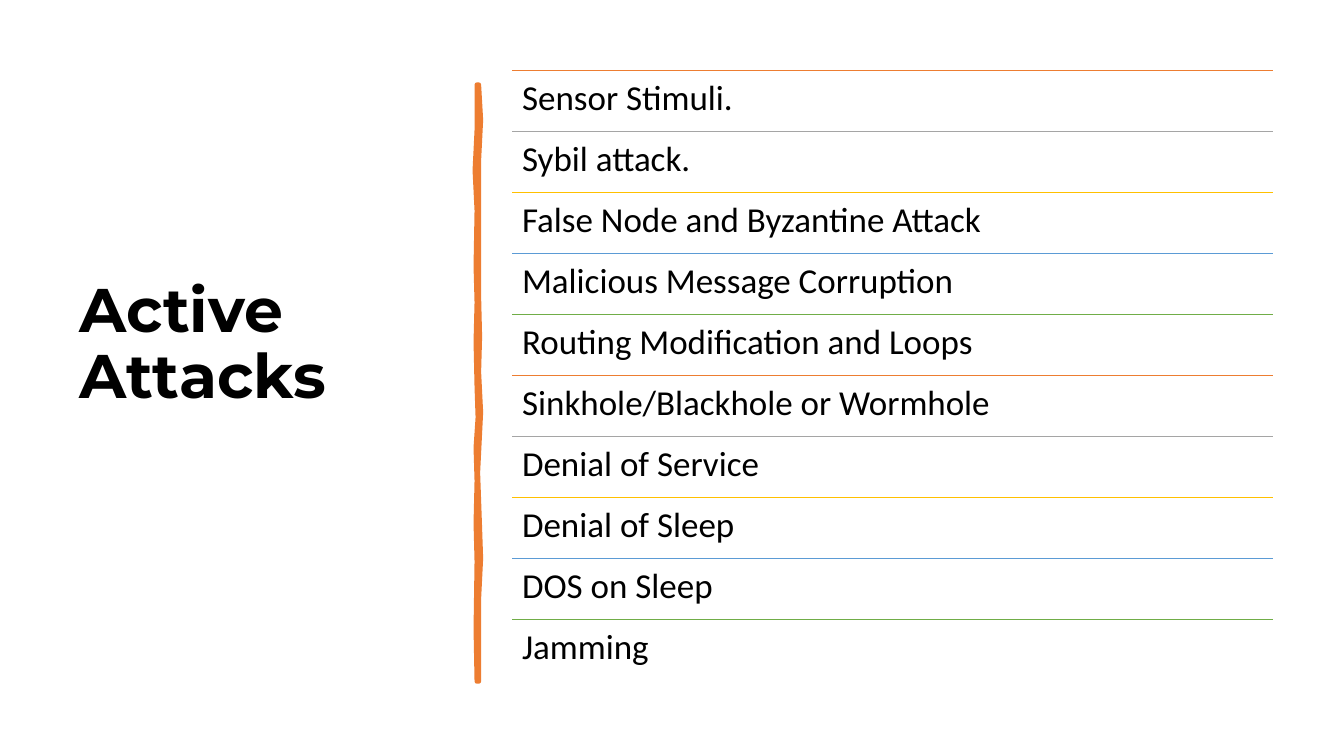
from pptx import Presentation
from pptx.dml.color import RGBColor
from pptx.enum.shapes import MSO_CONNECTOR
from pptx.enum.text import MSO_ANCHOR
from pptx.oxml.ns import qn
from pptx.util import Inches, Pt
from lxml.etree import SubElement

BLACK = RGBColor(0x00, 0x00, 0x00)
ORANGE = RGBColor(0xED, 0x7D, 0x31)
GRAY = RGBColor(0xA5, 0xA5, 0xA5)
GOLD = RGBColor(0xFF, 0xC0, 0x00)
BLUE = RGBColor(0x5B, 0x9B, 0xD5)
GREEN = RGBColor(0x70, 0xAD, 0x47)
RULE_COLORS = [ORANGE, GRAY, GOLD, BLUE, GREEN]

ATTACKS = [
    "Sensor Stimuli.",
    "Sybil attack.",
    "False Node and Byzantine Attack",
    "Malicious Message Corruption",
    "Routing Modification and Loops",
    "Sinkhole/Blackhole or Wormhole",
    "Denial of Service",
    "Denial of Sleep",
    "DOS on Sleep",
    "Jamming",
]

# Edges of the hand-drawn divider, in hundredths of an inch from its corner.
RIGHT_EDGE = [(5, 0), (7, 35), (5, 75), (5, 142), (5, 210), (6, 250), (5, 285),
              (7, 325), (4, 385), (6, 440), (7, 470), (5, 510), (5, 592)]
LEFT_EDGE = [(3, 592), (2, 540), (3, 473), (2, 435), (3, 393), (2, 360), (4, 330),
             (3, 300), (2, 255), (3, 216), (2, 180), (3, 125), (1, 85), (3, 45), (3, 0)]

TITLE_FORMAT = {"name": "Montserrat", "size": Pt(44), "bold": True}
ITEM_FORMAT = {"name": "Calibri", "size": Pt(25)}


def add_text(slide, text, left, top, width, height, text_format, frame_format):
    box = slide.shapes.add_textbox(Inches(left), Inches(top), Inches(width), Inches(height))
    frame = box.text_frame
    frame.word_wrap = True
    for name, value in frame_format.items():
        setattr(frame, name, value)
    paragraph = frame.paragraphs[0]
    paragraph.text = text
    paragraph.line_spacing = 0.9
    for name, value in text_format.items():
        setattr(paragraph.font, name, value)
    paragraph.font.color.rgb = BLACK


def add_title(slide, left, top, width, height):
    """Place the title slightly above the middle of its box."""
    frame_format = {"vertical_anchor": MSO_ANCHOR.MIDDLE, "margin_bottom": Inches(0.7)}
    add_text(slide, "Active Attacks", left, top, width, height, TITLE_FORMAT, frame_format)


def add_divider(slide, left, top):
    start, *points = RIGHT_EDGE + LEFT_EDGE
    builder = slide.shapes.build_freeform(*start, scale=Inches(0.01))
    builder.add_line_segments(points, close=True)
    divider = builder.convert_to_shape(Inches(left), Inches(top))
    divider.shadow.inherit = False
    divider.fill.solid()
    divider.fill.fore_color.rgb = ORANGE
    divider.line.color.rgb = ORANGE
    divider.line.width = Pt(3.25)


def add_rule(slide, left, top, width, color):
    rule = slide.shapes.add_connector(
        MSO_CONNECTOR.STRAIGHT, Inches(left), Inches(top), Inches(left + width), Inches(top))
    rule.line.color.rgb = color
    rule.line.width = Pt(1)
    SubElement(rule._element.spPr, qn("a:effectLst"))


def add_attack_list(slide, left, top, width, height):
    """Stack the attacks in equal rows, each under a coloured rule."""
    row_height = height / len(ATTACKS)
    sides = ("left", "top", "right", "bottom")
    frame_format = {f"margin_{side}": Inches(0.1) for side in sides}
    for index, attack in enumerate(ATTACKS):
        row_top = top + index * row_height
        add_rule(slide, left, row_top, width, RULE_COLORS[index % len(RULE_COLORS)])
        add_text(slide, attack, left, row_top, width, row_height, ITEM_FORMAT, frame_format)


def main():
    presentation = Presentation()
    presentation.slide_width = Inches(13.33)
    presentation.slide_height = Inches(7.5)
    slide = presentation.slides.add_slide(presentation.slide_layouts[6])
    add_title(slide, 0.69, 0.7, 3.74, 6.11)
    add_divider(slide, 4.7, 0.84)
    add_attack_list(slide, 5.08, 0.7, 7.55, 6.05)
    presentation.save("out.pptx")


if __name__ == "__main__":
    main()
